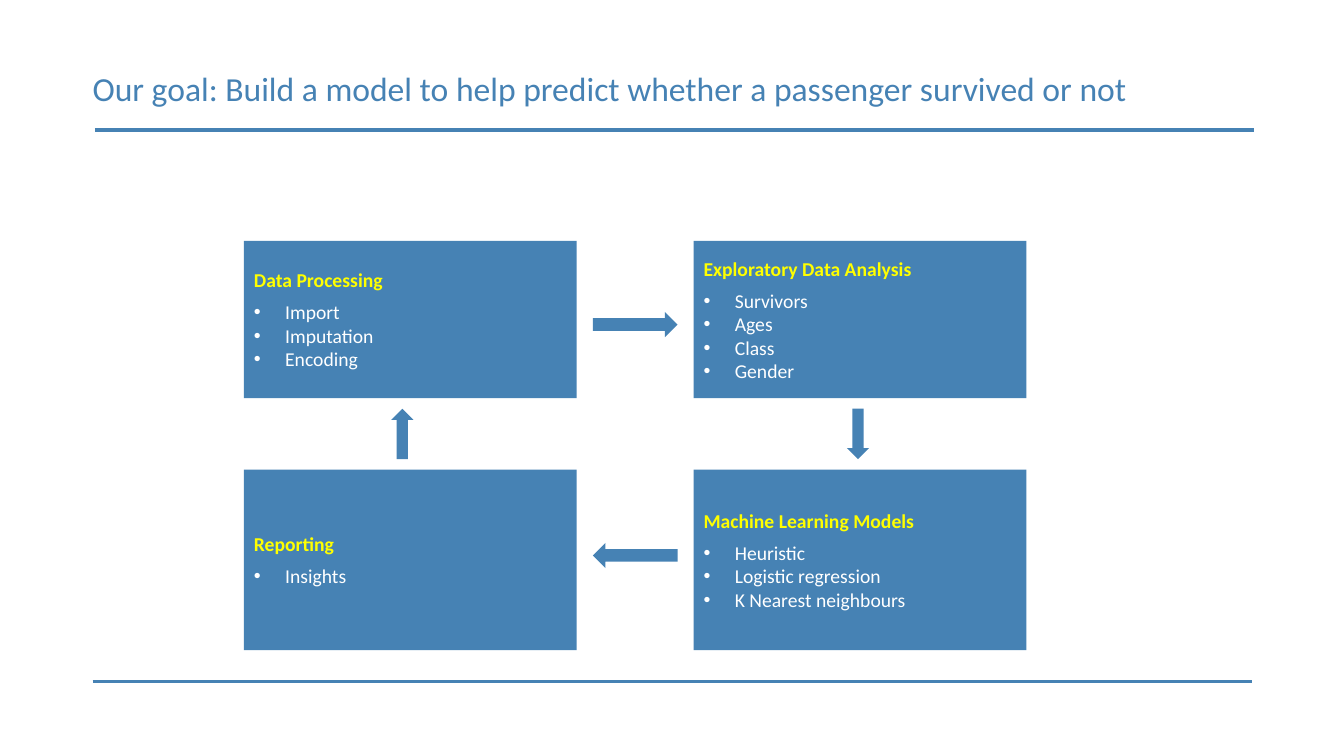
from dataclasses import dataclass

from lxml import etree
from pptx import Presentation
from pptx.dml.color import RGBColor
from pptx.enum.shapes import MSO_CONNECTOR, MSO_SHAPE
from pptx.enum.text import MSO_ANCHOR, PP_ALIGN
from pptx.oxml.ns import qn
from pptx.util import Inches, Pt

RECT, ARROW = MSO_SHAPE.RECTANGLE, MSO_SHAPE.RIGHT_ARROW
STRAIGHT = MSO_CONNECTOR.STRAIGHT
MIDDLE, LEFT = MSO_ANCHOR.MIDDLE, PP_ALIGN.LEFT

# Content: each step has its grid column and row
TITLE = "Our goal: Build a model to help predict whether a passenger survived or not"
STEPS = [
    (0, 0, "Data Processing", ["Import", "Imputation", "Encoding"]),
    (1, 0, "Exploratory Data Analysis", ["Survivors", "Ages", "Class", "Gender"]),
    (1, 1, "Machine Learning Models",
     ["Heuristic", "Logistic regression", "K Nearest neighbours"]),
    (0, 1, "Reporting", ["Insights"]),
]


@dataclass(frozen=True)
class Theme:
    font: str = "Calibri"
    blue: RGBColor = RGBColor(0x46, 0x82, 0xB4)
    yellow: RGBColor = RGBColor(0xFF, 0xFF, 0x00)
    white: RGBColor = RGBColor(0xFF, 0xFF, 0xFF)
    title_size: int = 24
    body_size: int = 14
    rule_width: float = 2.25


THEME = Theme()

# Grid, in inches
SLIDE_W, SLIDE_H = 13.33, 7.5
TITLE_BOX = (0.82, 0.34, 11.6, 1.12)
RULES = [(0.94, 1.29), (0.92, 6.76)]
RULE_LEN = 11.5
COL_X, BOX_W = (2.42, 6.88), 3.3
ROW_Y, ROW_H = (2.39, 4.66), (1.56, 1.79)
INDENT = 0.31

# Arrows sit in the middle of the gaps: centre x, centre y, length, thickness, rotation
GAP_X = (COL_X[0] + BOX_W + COL_X[1]) / 2
GAP_Y = (ROW_Y[0] + ROW_H[0] + ROW_Y[1]) / 2
ACROSS, UPRIGHT = (0.84, 0.25), (0.5, 0.22)
ARROWS = [
    (GAP_X, 3.22, *ACROSS, 0),
    (8.51, GAP_Y, *UPRIGHT, 90),
    (GAP_X, 5.51, *ACROSS, 180),
    (3.99, GAP_Y, *UPRIGHT, 270),
]


def style(p, size, color, bold=False):
    p.alignment = LEFT
    p.font.name = THEME.font
    p.font.size = Pt(size)
    p.font.bold = bold
    p.font.color.rgb = color


def add_bullet(p):
    pPr = p._p.get_or_add_pPr()
    pPr.set("marL", str(Inches(INDENT)))
    pPr.set("indent", str(-Inches(INDENT)))
    font = etree.Element(qn("a:buFont"), typeface="Arial")
    char = etree.Element(qn("a:buChar"), char="•")
    pPr.insert_element_before(font, "a:defRPr")
    pPr.insert_element_before(char, "a:defRPr")


def add_blue_shape(slide, kind, x, y, w, h):
    sp = slide.shapes.add_shape(kind, Inches(x), Inches(y), Inches(w), Inches(h))
    sp.shadow.inherit = False
    sp.fill.solid()
    sp.fill.fore_color.rgb = THEME.blue
    sp.line.fill.background()
    return sp


def add_rule(slide, x, y):
    line = slide.shapes.add_connector(
        STRAIGHT, Inches(x), Inches(y), Inches(x + RULE_LEN), Inches(y))
    line.line.color.rgb = THEME.blue
    line.line.width = Pt(THEME.rule_width)
    etree.SubElement(line._element.spPr, qn("a:effectLst"))


def add_title(slide):
    sp = slide.shapes.add_textbox(*map(Inches, TITLE_BOX))
    tf = sp.text_frame
    tf.word_wrap = True
    tf.vertical_anchor = MIDDLE
    p = tf.paragraphs[0]
    p.text = TITLE
    p.line_spacing = 0.9
    style(p, THEME.title_size, THEME.blue)


def add_step(slide, col, row, heading, items):
    sp = add_blue_shape(slide, RECT, COL_X[col], ROW_Y[row], BOX_W, ROW_H[row])
    tf = sp.text_frame
    tf.word_wrap = True
    tf.vertical_anchor = MIDDLE
    p = tf.paragraphs[0]
    p.text = heading
    p.space_after = Pt(6)
    style(p, THEME.body_size, THEME.yellow, bold=True)
    for item in items:
        p = tf.add_paragraph()
        p.text = item
        style(p, THEME.body_size, THEME.white)
        add_bullet(p)


def main():
    prs = Presentation()
    prs.slide_width, prs.slide_height = Inches(SLIDE_W), Inches(SLIDE_H)
    slide = prs.slides.add_slide(prs.slide_layouts[6])

    # Frame
    for x, y in RULES:
        add_rule(slide, x, y)
    add_title(slide)

    # Cycle of steps
    for step in STEPS:
        add_step(slide, *step)
    for cx, cy, length, thick, turn in ARROWS:
        sp = add_blue_shape(slide, ARROW, cx - length / 2, cy - thick / 2, length, thick)
        sp.rotation = turn

    prs.save("out.pptx")


if __name__ == "__main__":
    main()
